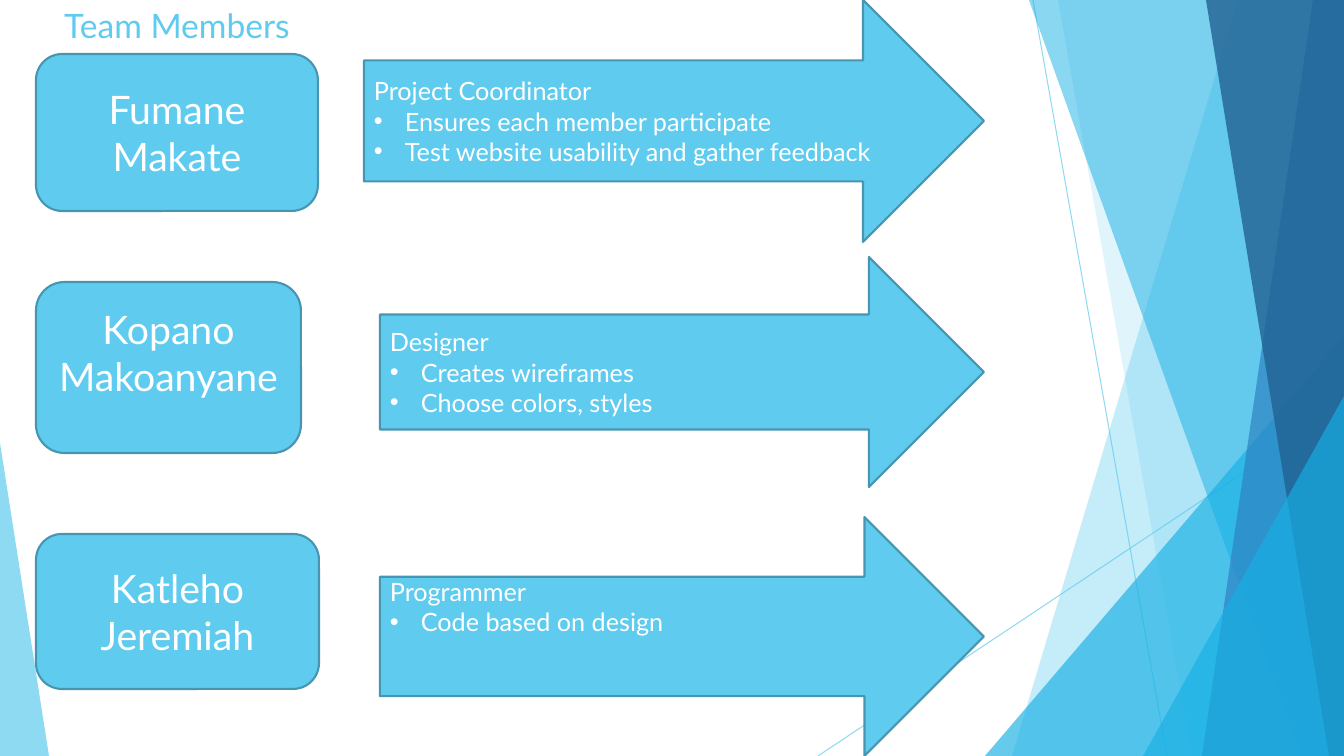
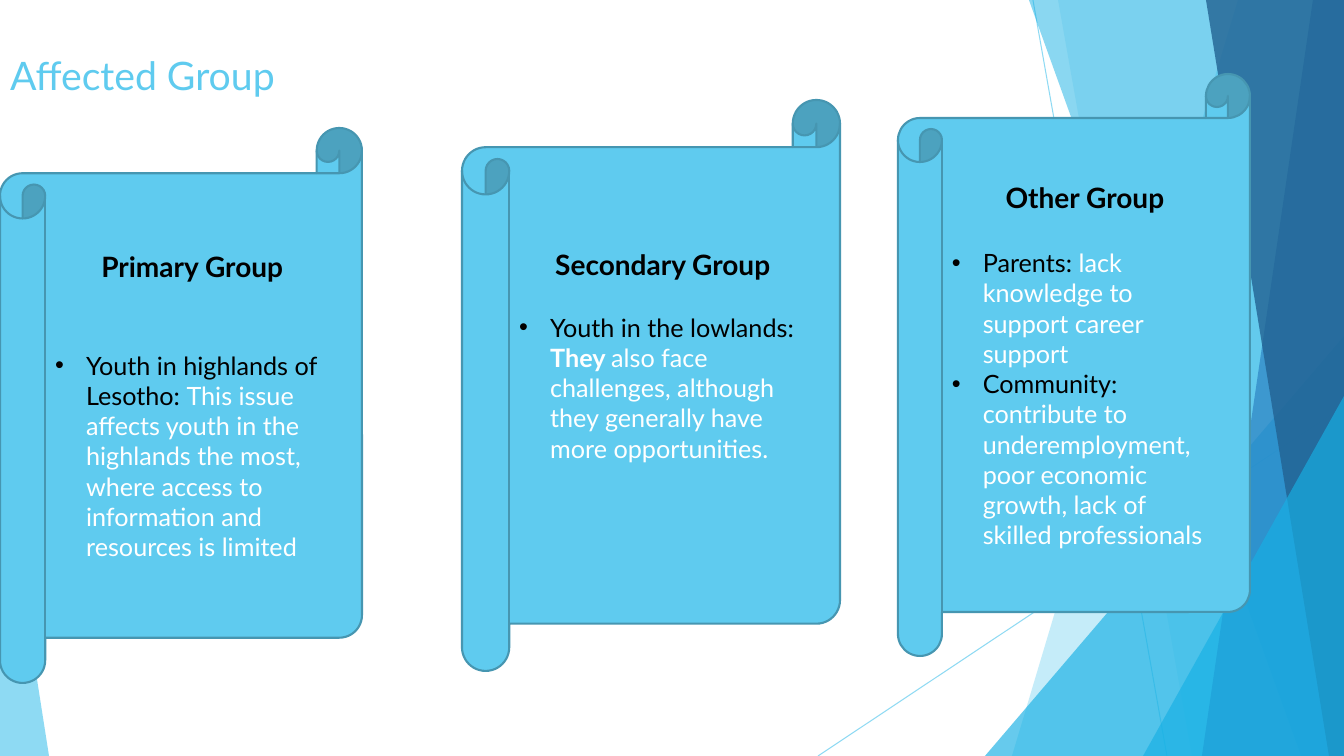
"""Build a two-slide deck on team members and affected groups."""
from dataclasses import dataclass, field

from lxml.etree import SubElement
from pptx import Presentation
from pptx.dml.color import RGBColor as Rgb
from pptx.enum.shapes import MSO_CONNECTOR as Connector, MSO_SHAPE as Preset
from pptx.enum.text import MSO_ANCHOR as Anchor, MSO_AUTO_SIZE as AutoSize, PP_ALIGN as Align
from pptx.oxml.ns import qn
from pptx.util import Pt

SLIDE_WIDTH, SLIDE_HEIGHT = 1344, 756
EMU_PER_PX = 12192000 / SLIDE_WIDTH


@dataclass(frozen=True)
class Theme:
    """Colours and type sizes used throughout the deck."""
    font: str = "Lato"
    sky: str = "5FCBEF"
    outline: str = "4696B1"
    cyan: str = "17B0E4"
    blue: str = "2E83C3"
    navy: str = "226292"
    white: str = "FFFFFF"
    black: str = "000000"
    small_title: int = 24
    large_title: int = 28
    name: int = 28
    heading: int = 20
    body: int = 18
    hairline: float = 0.75
    border: float = 1.5


THEME = Theme()


@dataclass(frozen=True)
class Box:
    """A rectangle in px."""
    left: int
    top: int
    width: int
    height: int

    def emu(self) -> tuple[int, int, int, int]:
        """Return the rectangle in EMU."""
        return px(self.left), px(self.top), px(self.width), px(self.height)


@dataclass(frozen=True)
class Ray:
    """A thin line across the backdrop."""
    start: tuple[int, int]
    end: tuple[int, int]


@dataclass(frozen=True)
class Panel:
    """A full-height panel from a slanted left edge to the right slide edge."""
    top_x: int
    bottom_x: int
    color: str
    opacity: int


@dataclass(frozen=True)
class Wedge:
    """A right triangle whose apex sits at the left (0) or right (1)."""
    box: Box
    apex: int
    color: str
    opacity: int


@dataclass(frozen=True)
class Span:
    """A stretch of text in one colour and weight."""
    text: str
    color: str = THEME.white
    bold: bool = False


@dataclass(frozen=True)
class Para:
    """A paragraph with its size, alignment and spacing."""
    spans: list[Span]
    size: int = THEME.body
    align: Align = Align.LEFT
    bullet: bool = False
    gap_after: int = 0


@dataclass(frozen=True)
class Callout:
    """A filled shape with text, raised by a larger bottom inset."""
    preset: Preset
    box: Box
    paras: list[Para] = field(default_factory=list)
    lift: int = 0


def px(length: float) -> int:
    """Turn px into EMU."""
    return round(length * EMU_PER_PX)


def paint(fill, color: str, opacity: int = 100) -> None:
    """Apply a solid colour with the given opacity in percent."""
    fill.solid()
    fill.fore_color.rgb = Rgb.from_string(color)
    if opacity < 100:
        solid = fill._xPr.find(qn("a:solidFill"))
        SubElement(solid[0], qn("a:alpha"), val=str(opacity * 1000))


def draw_ray(page, ray: Ray):
    """Draw one backdrop line."""
    line = page.shapes.add_connector(
        Connector.STRAIGHT, *(px(value) for value in ray.start + ray.end))
    line.line.width = Pt(THEME.hairline)
    paint(line.line.fill, THEME.sky, 70)
    SubElement(line.element.spPr, qn("a:effectLst"))
    return line


def draw_panel(page, panel: Panel):
    """Draw one slanted backdrop panel."""
    builder = page.shapes.build_freeform(px(panel.top_x), 0)
    corners = [(SLIDE_WIDTH, 0), (SLIDE_WIDTH, SLIDE_HEIGHT), (panel.bottom_x, SLIDE_HEIGHT)]
    builder.add_line_segments([(px(x), px(y)) for x, y in corners])
    return finish_facet(builder.convert_to_shape(), panel)


def draw_wedge(page, wedge: Wedge):
    """Draw one triangular backdrop facet."""
    shape = page.shapes.add_shape(Preset.ISOSCELES_TRIANGLE, *wedge.box.emu())
    shape.adjustments[0] = wedge.apex
    return finish_facet(shape, wedge)


def finish_facet(shape, facet: Panel | Wedge):
    """Give a backdrop facet its translucent fill without outline."""
    paint(shape.fill, facet.color, facet.opacity)
    shape.line.fill.background()
    shape.shadow.inherit = False
    return shape


def draw_backdrop(deck, page) -> None:
    """Draw the shared backdrop and move it to the slide master."""
    painters = {Ray: draw_ray, Panel: draw_panel, Wedge: draw_wedge}
    tree = deck.slide_master.element.cSld.spTree
    for index, item in enumerate(BACKDROP, start=2):
        tree.insert(index, painters[type(item)](page, item).element)


def write_para(target, para: Para) -> None:
    """Fill a paragraph with formatted spans."""
    target.alignment = para.align
    target.space_after = Pt(para.gap_after)
    if para.bullet:
        properties = target._p.get_or_add_pPr()
        properties.set("marL", str(px(31)))
        properties.set("indent", str(-px(31)))
        SubElement(properties, qn("a:buFont"), typeface="Arial")
        SubElement(properties, qn("a:buChar"), char="•")
    target.font.name = THEME.font
    target.font.size = Pt(para.size)
    for span in para.spans:
        run = target.add_run()
        run.text = span.text
        run.font.color.rgb = Rgb.from_string(span.color)
        if span.bold:
            run.font.bold = True


def draw_callout(page, callout: Callout) -> None:
    """Draw a filled shape with its paragraphs."""
    shape = page.shapes.add_shape(callout.preset, *callout.box.emu())
    paint(shape.fill, THEME.sky)
    paint(shape.line.fill, THEME.outline)
    shape.line.width = Pt(THEME.border)
    shape.shadow.inherit = False
    frame = shape.text_frame
    frame.word_wrap = True
    frame.vertical_anchor = Anchor.MIDDLE
    frame.margin_bottom = px(5 + callout.lift)
    for index, para in enumerate(callout.paras):
        write_para(frame.add_paragraph() if index else frame.paragraphs[0], para)


def write_title(page, text: str, size: int, box: Box) -> None:
    """Place and format the title placeholder."""
    title = page.shapes.title
    title.left, title.top, title.width, title.height = box.emu()
    frame = title.text_frame
    frame.auto_size = AutoSize.NONE
    frame.vertical_anchor = Anchor.TOP
    write_para(frame.paragraphs[0], Para([Span(text, THEME.sky)], size))


def name_card(name: str, box: Box, lift: int = 0) -> Callout:
    """Describe a member's name card."""
    return Callout(Preset.ROUNDED_RECTANGLE, box,
                   [Para([Span(name)], THEME.name, Align.CENTER)], lift)


def role_arrow(role: str, duties: list[str], box: Box, lift: int = 0) -> Callout:
    """Describe the arrow with a member's role and duties."""
    items = [Para([Span(duty)], bullet=True) for duty in duties]
    return Callout(Preset.RIGHT_ARROW, box, [Para([Span(role)]), *items], lift)


def group_scroll(heading: str, gap: int, items: list[list[Span]], box: Box,
                 lift: int = 0) -> Callout:
    """Describe the scroll of an affected group."""
    head = Para([Span(heading, THEME.black, True)], THEME.heading, Align.CENTER, gap_after=gap)
    return Callout(Preset.HORIZONTAL_SCROLL, box,
                   [head, *(Para(spans, bullet=True) for spans in items)], lift)


BACKDROP = [
    Ray((1033, 0), (1167, 756)),
    Ray((1344, 406), (818, 756)),
    Panel(1238, 1012, THEME.sky, 36),
    Panel(1058, 1192, THEME.sky, 20),
    Wedge(Box(985, 336, 359, 420), 1, THEME.cyan, 66),
    Panel(1029, 1301, THEME.cyan, 50),
    Panel(1313, 1202, THEME.blue, 70),
    Panel(1206, 1329, THEME.navy, 80),
    Wedge(Box(1143, 396, 201, 360), 1, THEME.cyan, 66),
    Wedge(Box(0, 443, 49, 313), 0, THEME.sky, 70),
]

TEAM = [
    name_card("Fumane Makate", Box(36, 54, 282, 157)),
    name_card("Kopano Makoanyane", Box(36, 282, 265, 171), lift=30),
    name_card("Katleho Jeremiah", Box(36, 534, 283, 155)),
    role_arrow("Project Coordinator",
               ["Ensures each member participate", "Test website usability and gather feedback"],
               Box(364, 0, 620, 242)),
    role_arrow("Designer", ["Creates wireframes", "Choose colors, styles"],
               Box(380, 257, 604, 230)),
    role_arrow("Programmer", ["Code based on design"], Box(380, 517, 604, 239), lift=60),
]

GROUPS = [
    group_scroll("Primary Group", 48, [
        [Span("Youth in highlands of Lesotho: ", THEME.black),
         Span("This issue affects youth in the highlands the most, where access to "
              "information and resources is limited")],
    ], Box(0, 128, 362, 555)),
    group_scroll("Secondary Group", 22, [
        [Span("Youth in the lowlands: ", THEME.black), Span("They ", bold=True),
         Span("also face challenges, although they generally have more opportunities.")],
    ], Box(462, 100, 378, 571), lift=60),
    group_scroll("Other Group", 24, [
        [Span("Parents: ", THEME.black), Span("lack knowledge to support career support")],
        [Span("Community: ", THEME.black),
         Span("contribute to underemployment, poor economic growth, lack of skilled "
              "professionals")],
    ], Box(898, 74, 352, 582)),
]


def main() -> None:
    """Build and save the deck."""
    deck = Presentation()
    deck.slide_width, deck.slide_height = px(SLIDE_WIDTH), px(SLIDE_HEIGHT)
    layout = deck.slide_layouts.get_by_name("Title Only")
    team_page, group_page = (deck.slides.add_slide(layout) for _ in range(2))
    draw_backdrop(deck, team_page)
    write_title(team_page, "Team Members", THEME.small_title, Box(54, 0, 948, 145))
    write_title(group_page, "Affected Group", THEME.large_title, Box(0, 46, 1219, 60))
    for page, callouts in ((team_page, TEAM), (group_page, GROUPS)):
        for callout in callouts:
            draw_callout(page, callout)
    deck.save("out.pptx")


if __name__ == "__main__":
    main()
